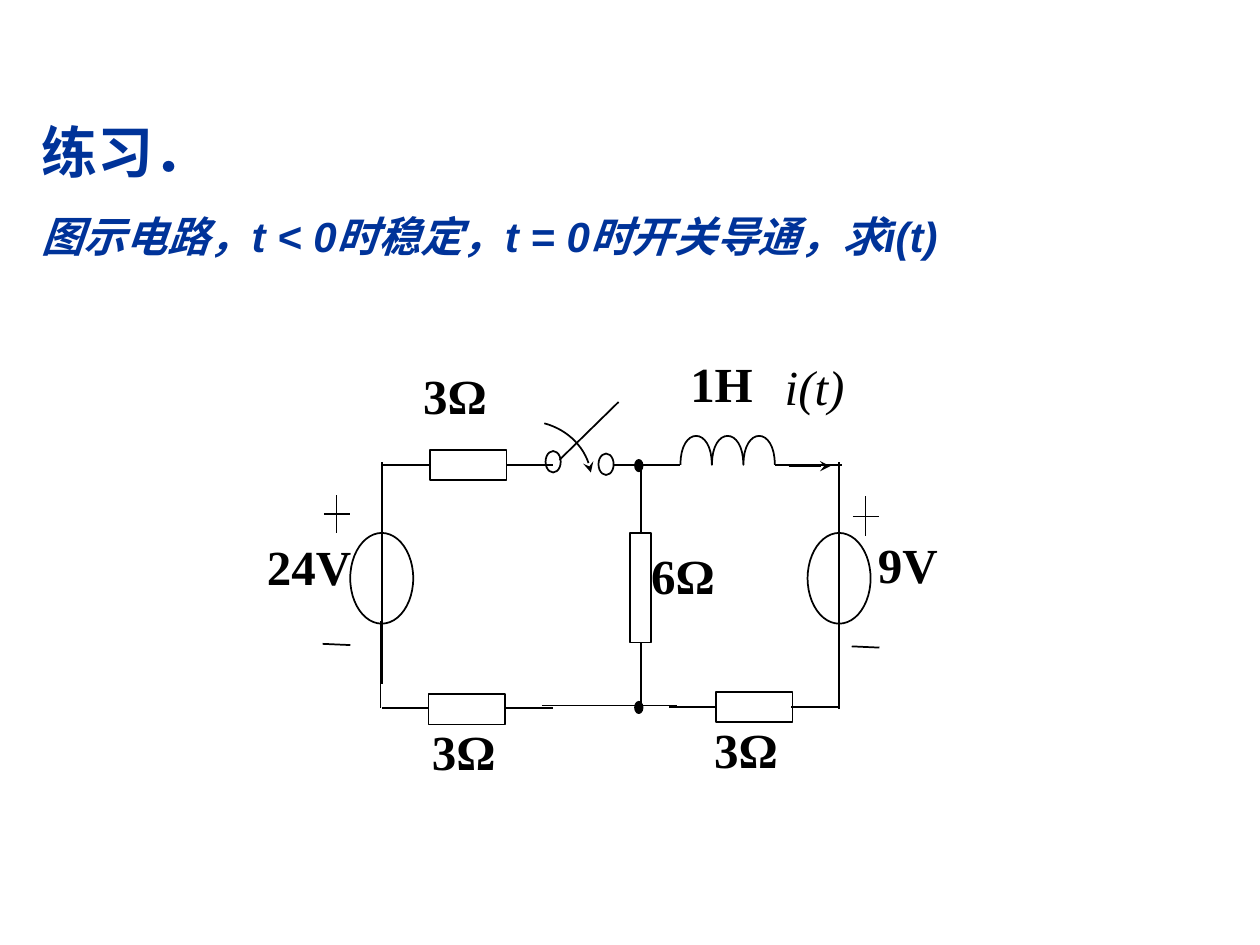
from lxml import etree
from pptx import Presentation
from pptx.dml.color import RGBColor
from pptx.enum.shapes import MSO_CONNECTOR, MSO_SHAPE
from pptx.enum.text import MSO_ANCHOR, MSO_AUTO_SIZE, PP_ALIGN
from pptx.oxml.ns import qn
from pptx.util import Inches, Pt

LINE = MSO_CONNECTOR.STRAIGHT
RECT, OVAL, DOT = MSO_SHAPE.RECTANGLE, MSO_SHAPE.OVAL, MSO_SHAPE.FLOWCHART_CONNECTOR
LEFT, BOTTOM, NO_FIT = PP_ALIGN.LEFT, MSO_ANCHOR.BOTTOM, MSO_AUTO_SIZE.NONE

THEME = {
    "title_font": "Arial", "label_font": "Times New Roman",
    "title": RGBColor(0x00, 0x33, 0x99), "ink": RGBColor(0, 0, 0),
    "title_size": Pt(32), "question_size": Pt(24), "label_size": Pt(28),
    "stroke": Pt(1), "arrow_stroke": Pt(0.75),
}

TITLE = "练习．"
QUESTION = "图示电路，t < 0时稳定，t = 0时开关导通，求i(t)"

LABELS = [
    ("3Ω", 3.26, 2.85, 1.34), ("1H", 5.38, 2.76, 1.01), ("i(t)", 6.13, 2.78, 0.84),
    ("24V", 2.02, 4.21, 1.01), ("6Ω", 5.07, 4.28, 0.88), ("9V", 6.87, 4.19, 0.87),
    ("3Ω", 3.33, 5.68, 1.34), ("3Ω", 5.57, 5.66, 1.01),
]
ITALIC_LABELS = {"i(t)"}
LABEL_HEIGHT = 0.8

TOP, BASE = 3.69, 5.61
WIRES = [
    (3.04, TOP, 3.41, TOP), (4.02, TOP, 4.39, TOP),
    (4.87, TOP, 5.40, TOP), (6.15, TOP, 6.68, TOP),
    (3.03, 5.62, 3.40, 5.62), (4.01, 5.62, 4.39, 5.62),
    (4.30, 5.60, 5.37, 5.60), (5.31, BASE, 5.68, BASE), (6.28, BASE, 6.66, BASE),
    (3.03, 3.67, 3.03, 5.43), (3.02, 4.93, 3.02, 5.62),
    (5.09, 3.70, 5.09, 4.23), (5.09, 5.10, 5.09, 5.63),
    (6.66, 3.67, 6.66, 5.43), (6.66, 4.91, 6.66, 5.63),
]
POLARITY_MARKS = [
    (2.57, 4.08, 2.78, 4.08), (2.67, 3.93, 2.67, 4.23), (2.56, 5.11, 2.78, 5.12),
    (6.77, 4.10, 6.98, 4.10), (6.87, 3.94, 6.87, 4.25), (6.76, 5.13, 6.98, 5.14),
]
SWITCH_BLADE = (4.44, 3.65, 4.91, 3.19)
CURRENT_ARROW = (6.26, 3.70, 6.59, 3.70)

RESISTORS = [(3.41, 3.57, 0.61, 0.24), (3.40, 5.51, 0.61, 0.24),
             (5.68, 5.49, 0.61, 0.24), (5.00, 4.23, 0.17, 0.87)]
SOURCES = [(2.78, 4.23, 0.5, 0.72), (6.41, 4.23, 0.5, 0.72)]
SWITCH_CONTACTS = [(4.33, 3.58, 0.12, 0.17), (4.75, 3.60, 0.12, 0.17)]
NODES = [(5.04, 3.65, 0.06, 0.09), (5.04, 5.57, 0.06, 0.09)]

COIL_LEFT, COIL_TOP, COIL_PITCH, COIL_TURNS = 5.40, 3.46, 0.25, 3
SWITCH_ARC = [(4.32, 3.36), (4.51, 3.41), (4.66, 3.56), (4.69, 3.75)]
CURVE_STEPS = 16


def bezier(points):
    curve = []
    for step in range(CURVE_STEPS + 1):
        t = step / CURVE_STEPS
        weights = ((1 - t) ** 3, 3 * t * (1 - t) ** 2, 3 * t * t * (1 - t), t ** 3)
        curve.append(tuple(sum(w * p[axis] for w, p in zip(weights, points)) for axis in (0, 1)))
    return curve


def coil_points():
    points = []
    rise = (TOP - COIL_TOP) * 4 / 3
    for turn in range(COIL_TURNS):
        x = COIL_LEFT + turn * COIL_PITCH
        end = x + COIL_PITCH
        points += bezier([(x, TOP), (x, TOP - rise), (end, TOP - rise), (end, TOP)])
    return points


def add_arrowhead(s):
    etree.SubElement(s.line._get_or_add_ln(), qn("a:tailEnd"), type="stealth")


def add_line(shapes, ends, width=THEME["stroke"]):
    s = shapes.add_connector(LINE, *map(Inches, ends))
    s.line.color.rgb = THEME["ink"]
    s.line.width = width
    etree.SubElement(s._element.spPr, qn("a:effectLst"))
    return s


def outline(s):
    s.shadow.inherit = False
    s.fill.background()
    s.line.color.rgb = THEME["ink"]
    s.line.width = THEME["stroke"]
    return s


def add_curve(shapes, points):
    points = [(Inches(x), Inches(y)) for x, y in points]
    builder = shapes.build_freeform(*points[0])
    builder.add_line_segments(points[1:], close=False)
    return outline(builder.convert_to_shape())


def add_label(shapes, text, x, y, width):
    tf = shapes.add_textbox(*map(Inches, (x, y, width, LABEL_HEIGHT))).text_frame
    tf.word_wrap = True
    tf.text = text
    font = tf.paragraphs[0].runs[0].font
    font.name, font.size = THEME["label_font"], THEME["label_size"]
    font.color.rgb = THEME["ink"]
    font.italic = text in ITALIC_LABELS
    font.bold = not font.italic


def fill_title(s):
    s.left, s.top, s.width, s.height = map(Inches, (0.23, 1.57, 9.77, 0.5))
    tf = s.text_frame
    tf.text = TITLE + "\v" + QUESTION
    tf.auto_size, tf.word_wrap = NO_FIT, True
    tf.vertical_anchor, tf.margin_bottom = BOTTOM, 0
    p = tf.paragraphs[0]
    p.alignment, p.line_spacing = LEFT, 1.5
    for r, size in zip(p.runs, (THEME["title_size"], THEME["question_size"])):
        r.font.name, r.font.size, r.font.bold = THEME["title_font"], size, True
        r.font.color.rgb = THEME["title"]
    p.runs[1].font.italic = True


def main():
    prs = Presentation()
    prs.slide_width, prs.slide_height = Inches(10), Inches(7.5)
    slide = prs.slides.add_slide(prs.slide_layouts[5])
    fill_title(slide.shapes.title)

    circuit = slide.shapes
    for ends in WIRES + POLARITY_MARKS + [SWITCH_BLADE]:
        add_line(circuit, ends)
    add_arrowhead(add_line(circuit, CURRENT_ARROW, THEME["arrow_stroke"]))

    for kind, boxes in ((RECT, RESISTORS), (OVAL, SOURCES + SWITCH_CONTACTS), (DOT, NODES)):
        for box in boxes:
            s = outline(circuit.add_shape(kind, *map(Inches, box)))
            if kind == DOT:
                s.fill.solid()
                s.fill.fore_color.rgb = THEME["ink"]

    add_curve(circuit, coil_points())
    add_arrowhead(add_curve(circuit, bezier(SWITCH_ARC)))
    for label in LABELS:
        add_label(circuit, *label)
    prs.save("out.pptx")


if __name__ == "__main__":
    main()
